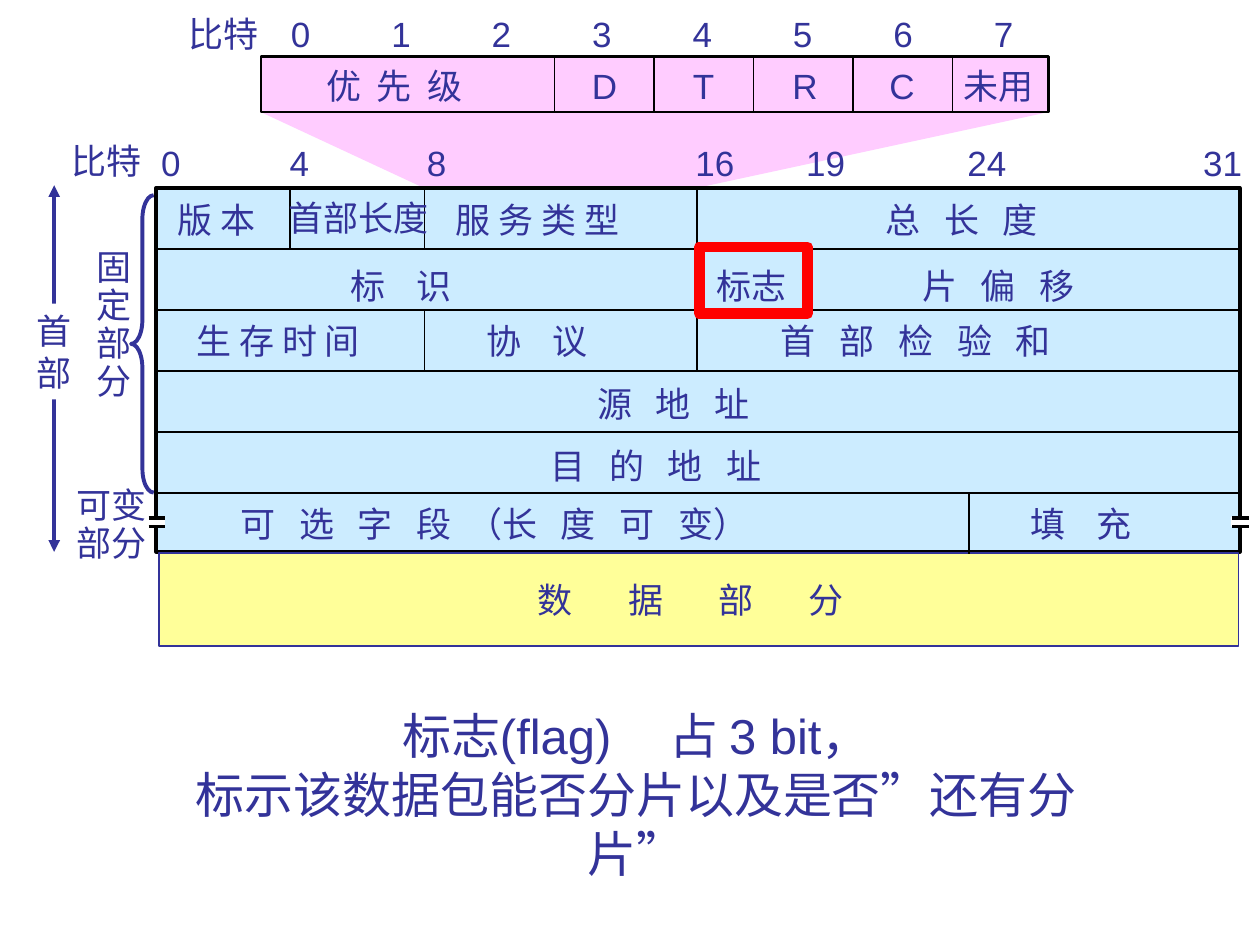
import collections
import itertools

import pptx
import pptx.dml.color
import pptx.enum.dml
import pptx.enum.shapes
import pptx.enum.text
import pptx.oxml
import pptx.oxml.ns
import pptx.util
from pptx.util import Inches

INK = pptx.dml.color.RGBColor(0x33, 0x33, 0x99)
BLACK = pptx.dml.color.RGBColor(0, 0, 0)
WHITE = pptx.dml.color.RGBColor(0xFF, 0xFF, 0xFF)
PINK = pptx.dml.color.RGBColor(0xFF, 0xCC, 0xFF)
BLUE = pptx.dml.color.RGBColor(0xCC, 0xEC, 0xFF)
YELLOW = pptx.dml.color.RGBColor(0xFF, 0xFF, 0x99)
RED = pptx.dml.color.RGBColor(0xFF, 0, 0)

FONT = "Arial"
SPACE_WIDTH = 0.225  # width of a space as a share of the text size
PRESET = pptx.enum.shapes.MSO_SHAPE

Box = collections.namedtuple("Box", "left top width height")


def style(shape, fill=None, color=None, weight=1):
    shape.shadow.inherit = False
    if fill is None:
        shape.fill.background()
    else:
        shape.fill.solid()
        shape.fill.fore_color.rgb = fill
    if color is None:
        shape.line.fill.background()
    else:
        shape.line.color.rgb = color
        shape.line.width = pptx.util.Pt(weight)


def add_preset(shapes, box, fill=None, color=None, weight=1, kind=PRESET.RECTANGLE):
    shape = shapes.add_shape(kind, *map(Inches, box))
    style(shape, fill, color, weight)
    return shape


def add_line(shapes, x1, y1, x2, y2, color=BLACK, weight=1, arrows=False):
    line = shapes.add_connector(
        pptx.enum.shapes.MSO_CONNECTOR.STRAIGHT, *map(Inches, (x1, y1, x2, y2)))
    line.line.color.rgb = color
    line.line.width = pptx.util.Pt(weight)
    properties = line._element.spPr
    if arrows:
        outline = line.line._get_or_add_ln()
        for end in ("a:headEnd", "a:tailEnd"):
            outline.append(pptx.oxml.parse_xml(
                f'<{end} {pptx.oxml.ns.nsdecls("a")} type="triangle"/>'))
    properties.append(pptx.oxml.parse_xml(
        f'<a:effectLst {pptx.oxml.ns.nsdecls("a")}/>'))


def add_run(paragraph, text, size, spacing=0):
    run = paragraph.add_run()
    run.text = text
    run.font.name = FONT
    run.font.size = pptx.util.Pt(size)
    run.font.color.rgb = INK
    if spacing:
        run._r.get_or_add_rPr().set("spc", str(round(spacing * 100)))


def write(shape, lines, gaps=1, size=20, spacing=None, centred=False):
    """Write lines; each gap widens one space of a line to that many spaces."""
    frame = shape.text_frame
    frame.word_wrap = False
    frame.auto_size = pptx.enum.text.MSO_AUTO_SIZE.SHAPE_TO_FIT_TEXT
    frame.vertical_anchor = pptx.enum.text.MSO_ANCHOR.TOP
    for index, line in enumerate(lines):
        paragraph = frame.paragraphs[0] if index == 0 else frame.add_paragraph()
        alignment = pptx.enum.text.PP_ALIGN
        paragraph.alignment = alignment.CENTER if centred else alignment.LEFT
        if spacing:
            paragraph.line_spacing = spacing
        words = line.split(" ")
        add_run(paragraph, words[0], size)
        widths = itertools.repeat(gaps) if isinstance(gaps, int) else gaps
        for word, width in zip(words[1:], widths):
            add_run(paragraph, " ", size, (width - 1) * SPACE_WIDTH * size)
            add_run(paragraph, word, size)


def add_label(shapes, left, top, width, *lines, height=0.43, **options):
    label = shapes.add_textbox(*map(Inches, (left, top, width, height)))
    write(label, lines, **options)


def add_service_type(shapes, box, target):
    """Service type bits, with a funnel down to the target edge (x1, x2, y)."""
    x1, x2, y = target
    bottom = box.top + box.height
    funnel = shapes.build_freeform(Inches(box.left), Inches(bottom), scale=1.0)
    corners = [(box.left + box.width, bottom), (x2, y), (x1, y)]
    funnel.add_line_segments([(Inches(a), Inches(b)) for a, b in corners])
    style(funnel.convert_to_shape(), PINK)

    add_preset(shapes, box, PINK, BLACK, 1.5)
    for index in range(5):
        x = box.left + 2.33 + 0.79 * index
        add_line(shapes, x, box.top, x, bottom)

    add_label(shapes, box.left - 0.67, box.top - 0.4, 0.76, "比特")
    for bit in range(8):
        add_label(shapes, box.left + 0.14 + 0.797 * bit, box.top - 0.4, 0.35, str(bit))
    add_label(shapes, box.left + 0.42, box.top + 0.01, 1.59, "优 先 级", gaps=2)
    for x, width, text in [(2.53, 0.4, "D"), (3.33, 0.37, "T"), (4.12, 0.4, "R"),
                           (4.89, 0.4, "C"), (5.48, 0.76, "未用")]:
        add_label(shapes, box.left + x, box.top + 0.01, width, text)


def add_break_mark(shapes, box):
    """Two short bars that interrupt a side of the header."""
    group = shapes.add_group_shape().shapes
    add_preset(group, box, WHITE)
    for y in (box.top + 0.01, box.top + box.height):
        add_line(group, box.left + 0.01, y, box.left + box.width, y, weight=2)


def add_header(shapes, box):
    """Header fields, bit scale and data part."""
    row = 0.485
    add_preset(shapes, box, BLUE, BLACK, 2)
    data = Box(box.left + 0.02, box.top + box.height + 0.01, box.width - 0.03, 0.74)
    add_preset(shapes, data, YELLOW, INK, 1)

    # Row and column rules
    for index in range(1, 6):
        y = box.top + row * index
        add_line(shapes, box.left, y, box.left + box.width, y)
    for x, first, last in [(1.06, 0, 1), (2.13, 0, 1), (2.13, 2, 3),
                           (4.29, 0, 3), (5.17, 1, 2), (6.45, 5, 6)]:
        x += box.left
        add_line(shapes, x, box.top + row * first, x, box.top + row * last)

    # Bit scale
    add_label(shapes, box.left - 0.77, box.top - 0.43, 0.76, "比特")
    for x, bit in [(-0.06, 0), (0.96, 4), (2.05, 8), (4.18, 16),
                   (5.06, 19), (6.34, 24), (8.21, 31)]:
        add_label(shapes, box.left + x, box.top - 0.42, 0.35 if bit < 10 else 0.51, str(bit))

    # Fields: left, top, width, gap, text
    fields = [
        (0.07, 0.04, 0.89, 1, "版 本"), (0.95, 0.02, 1.31, 1, "首部长度"),
        (2.28, 0.04, 1.73, 1, "服 务 类 型"), (5.69, 0.04, 1.87, 3, "总 长 度"),
        (1.44, 0.56, 1.31, 4, "标 识"), (4.35, 0.56, 0.76, 1, "标志"),
        (5.98, 0.56, 1.87, 3, "片 偏 移"),
        (0.22, 1, 1.73, 1, "生 存 时 间"), (2.52, 1, 1.31, 4, "协 议"),
        (4.86, 1, 3.26, 3, "首 部 检 验 和"),
        (3.4, 1.5, 1.87, 3, "源 地 址"), (3.03, 1.99, 2.56, 3, "目 的 地 址"),
        (0.57, 2.45, 5.76, (3, 3, 3, 2, 3, 3, 3), "可 选 字 段 （长 度 可 变）"),
        (6.84, 2.45, 1.31, 4, "填 充"), (2.93, 3.05, 3.18, 7, "数 据 部 分"),
    ]
    for x, y, width, gaps, text in fields:
        add_label(shapes, box.left + x, box.top + y, width, text, gaps=gaps)

    for x in (-0.07, 8.53):
        add_break_mark(shapes, Box(box.left + x, box.top + 2.61, 0.14, 0.08))
    # Highlight on the flag field
    add_preset(shapes, Box(box.left + 4.31, box.top + 0.47, 0.86, 0.53), None, RED, 6)


def add_side_labels(shapes, box):
    """Extent of the header and of its fixed and variable parts."""
    x = box.left + 0.24
    add_line(shapes, x, box.top, x, box.top + box.height, INK, 2.25, arrows=True)
    name = add_preset(shapes, Box(box.left, box.top + 0.94, 0.48, 0.76), WHITE)
    write(name, ["首", "部"])
    add_label(shapes, box.left + 0.48, box.top + 0.47, 0.48, *"固定部分", height=1.3, spacing=0.9)
    add_label(shapes, box.left + 0.32, box.top + 2.36, 0.76, "可变", "部分", height=0.7, spacing=0.9)
    brace = add_preset(shapes, Box(box.left + 0.85, box.top + 0.08, 0.18, 2.36),
                       None, INK, 2.25, PRESET.LEFT_BRACE)
    brace.adjustments[0] = 1.05


def add_explanation(shapes, box):
    add_label(shapes, box.left, box.top, box.width, "标志(flag) 占 3 bit，",
              "标示该数据包能否分片以及是否”还有分片”",
              height=box.height, gaps=(5, 1, 1), size=28, centred=True)


def main():
    presentation = pptx.Presentation()
    presentation.slide_width = Inches(10)
    presentation.slide_height = Inches(7.5)
    shapes = presentation.slides.add_slide(presentation.slide_layouts[6]).shapes
    add_side_labels(shapes, Box(0.19, 1.47, 1.05, 2.91))
    add_service_type(shapes, Box(2.07, 0.45, 6.25, 0.44), (3.36, 5.54, 1.49))
    add_header(shapes, Box(1.24, 1.49, 8.6, 2.89))
    add_explanation(shapes, Box(1.07, 5.55, 7.96, 1.04))
    presentation.save("out.pptx")


if __name__ == "__main__":
    main()
